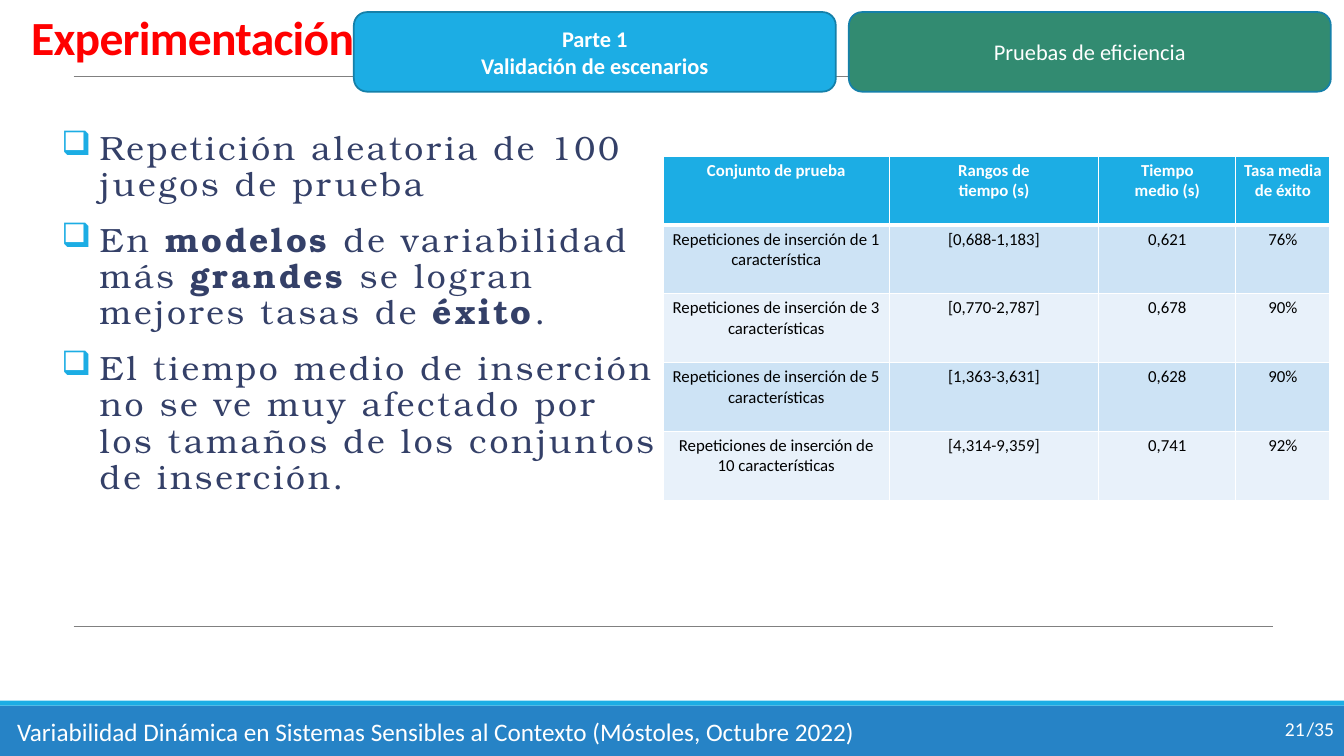
"""Builds the slide on experimentation: efficiency tests and their results table."""
from lxml import etree
from pptx import Presentation
from pptx import util as u
from pptx.dml.color import RGBColor
from pptx.enum import shapes, text
from pptx.oxml.ns import qn

presentation = Presentation()
presentation.slide_width, presentation.slide_height = u.Inches(13.33), u.Inches(7.5)
slide = presentation.slides.add_slide(presentation.slide_layouts[6])


def share(*percents):
    """Turn alternating horizontal and vertical percents of the slide into lengths."""
    sizes = (presentation.slide_width, presentation.slide_height) * 2
    return [u.Emu(int(size * percent / 100)) for size, percent in zip(sizes, percents)]


def paint(target, color):
    """Give a fill a solid colour, or a font its colour."""
    if hasattr(target, "solid"):
        target.solid()
        target.fore_color.rgb = RGBColor.from_string(color)
    else:
        target.color.rgb = RGBColor.from_string(color)


for top, height, color in [(93.33, 6.67, "2683C6"), (92.67, 0.67, "1CADE4")]:
    band = slide.shapes.add_shape(shapes.MSO_SHAPE.RECTANGLE, *share(0, top, 100, height))
    band.shadow.inherit = False
    paint(band.fill, color)
    band.line.fill.background()

for height in (10.13, 82.8):
    rule = slide.shapes.add_connector(
        shapes.MSO_CONNECTOR.STRAIGHT, *share(5.48, height, 94.75, height))
    paint(rule.line.fill, "808080")
    rule.line.width = u.Pt(0.5)
    etree.SubElement(rule._element.spPr, qn("a:effectLst"))

tabs = [("Parte 1\nValidación de escenarios", "1CADE4", True),
        ("Pruebas de eficiencia", "328B71", False)]
for index, (label, color, bold) in enumerate(tabs):
    tab = slide.shapes.add_shape(shapes.MSO_SHAPE.ROUNDED_RECTANGLE,
                                 *share(26.33 + 36.83 * index, 1.6, 35.86, 10.53))
    tab.shadow.inherit = False
    paint(tab.fill, color)
    paint(tab.line.fill, "1580A9")
    tab.line.width = u.Pt(1.25)
    tab.text_frame.vertical_anchor = text.MSO_ANCHOR.MIDDLE
    paragraph = tab.text_frame.paragraphs[0]
    paragraph.text = label
    paragraph.alignment = text.PP_ALIGN.CENTER
    paragraph.font.name, paragraph.font.size, paragraph.font.bold = "Calibri", u.Pt(16), bold
    paint(paragraph.font, "FFFFFF")

LEFT, RIGHT = text.PP_ALIGN.LEFT, text.PP_ALIGN.RIGHT
labels = [
    ("Experimentación", (1.58, 1.6, 82.52, 7.73), LEFT, 34, "FF0000"),
    ("Variabilidad Dinámica en Sistemas Sensibles al Contexto (Móstoles, Octubre 2022)",
     (0.53, 94.13, 70, 5.33), LEFT, 18, "FFFFFF"),
    ("/35", (91.52, 94.13, 8.48, 4.53), RIGHT, 14, "FFFFFF"),
    ("21", (91.82, 94.13, 6, 4.53), RIGHT, 14, "FFFFFF"),
]
for label, place, alignment, size, color in labels:
    frame = slide.shapes.add_textbox(*share(*place)).text_frame
    frame.word_wrap = True
    paragraph = frame.paragraphs[0]
    paragraph.text = label
    paragraph.alignment = alignment
    paragraph.font.name, paragraph.font.size = "Calibri", u.Pt(size)
    paint(paragraph.font, color)
    if label == "Experimentación":
        frame.vertical_anchor = text.MSO_ANCHOR.BOTTOM
        paragraph.line_spacing = 0.85
        paragraph.font.bold = True
        paragraph._p.pPr.find(qn("a:defRPr")).set("spc", "-50")

findings = [
    ["Repetición aleatoria de 100 juegos de prueba"],
    ["En ", "modelos", " de variabilidad más ", "grandes",
     " se logran mejores tasas de ", "éxito", "."],
    ["El tiempo medio de inserción no se ve muy afectado por los tamaños "
     "de los conjuntos de inserción."],
]
frame = slide.shapes.add_textbox(*share(3.83, 16.67, 46.2, 48.93)).text_frame
frame.word_wrap = True
for index, pieces in enumerate(findings):
    paragraph = frame.add_paragraph() if index else frame.paragraphs[0]
    for position, piece in enumerate(pieces):
        run = paragraph.add_run()
        run.text = piece
        if position % 2:
            run.font.bold = True
    paragraph.line_spacing = 0.9
    paragraph.space_before, paragraph.space_after = u.Pt(12 if index else 0), u.Pt(2)
    properties = paragraph._p.get_or_add_pPr()
    properties.set("marL", str(u.Inches(0.38)))
    properties.set("indent", str(-u.Inches(0.38)))
    bullet_color = etree.SubElement(properties, qn("a:buClr"))
    etree.SubElement(bullet_color, qn("a:srgbClr"), val="1CADE4")
    etree.SubElement(properties, qn("a:buChar"), char="❑")
    paragraph.font.name, paragraph.font.size = "TeX Gyre Bonum", u.Pt(24)
    paint(paragraph.font, "344068")
    properties.find(qn("a:defRPr")).set("spc", "200")

results = [
    ["Conjunto de prueba", "Rangos de\ntiempo (s)", "Tiempo\nmedio (s)", "Tasa media\nde éxito"],
    ["Repeticiones de inserción de 1 característica", "[0,688-1,183]", "0,621", "76%"],
    ["Repeticiones de inserción de 3 características", "[0,770-2,787]", "0,678", "90%"],
    ["Repeticiones de inserción de 5 características", "[1,363-3,631]", "0,628", "90%"],
    ["Repeticiones de inserción de 10 características", "[4,314-9,359]", "0,741", "92%"],
]
table = slide.shapes.add_table(5, 4, *share(49.36, 20.67, 49.6, 45.5)).table
for column, width in zip(table.columns, (16.8, 15.6, 10.2, 7)):
    column.width = share(width)[0]
for row_index, row in enumerate(results):
    header = row_index == 0
    for column_index, value in enumerate(row):
        cell = table.cell(row_index, column_index)
        cell.margin_left = cell.margin_right = u.Inches(0.08)
        cell.margin_top = cell.margin_bottom = u.Inches(0.04)
        for side in ("lnL", "lnR", "lnT", "lnB"):
            thick = (header and side == "lnB") or (row_index == 1 and side == "lnT")
            border = etree.SubElement(cell._tc.get_or_add_tcPr(), qn("a:" + side),
                                      w=str(u.Pt(3 if thick else 1)))
            border_fill = etree.SubElement(border, qn("a:solidFill"))
            etree.SubElement(border_fill, qn("a:srgbClr"), val="FFFFFF")
        paint(cell.fill, "1CADE4" if header else ("E8F1FA", "CDE3F5")[row_index % 2])
        paragraph = cell.text_frame.paragraphs[0]
        paragraph.text = value
        paragraph.alignment = text.PP_ALIGN.CENTER
        paragraph.font.name, paragraph.font.size = "Calibri", u.Pt(12)
        paragraph.font.bold = header
        paint(paragraph.font, "FFFFFF" if header else "000000")

presentation.save("out.pptx")
